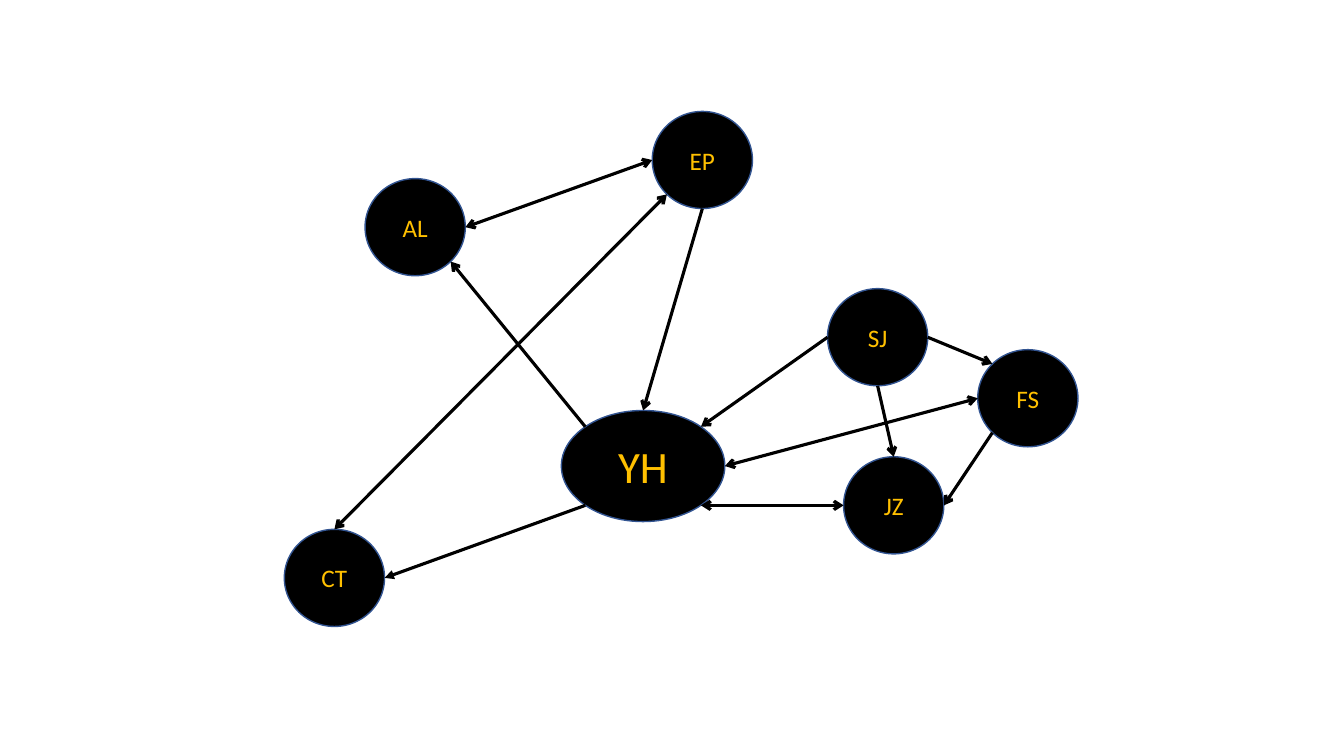
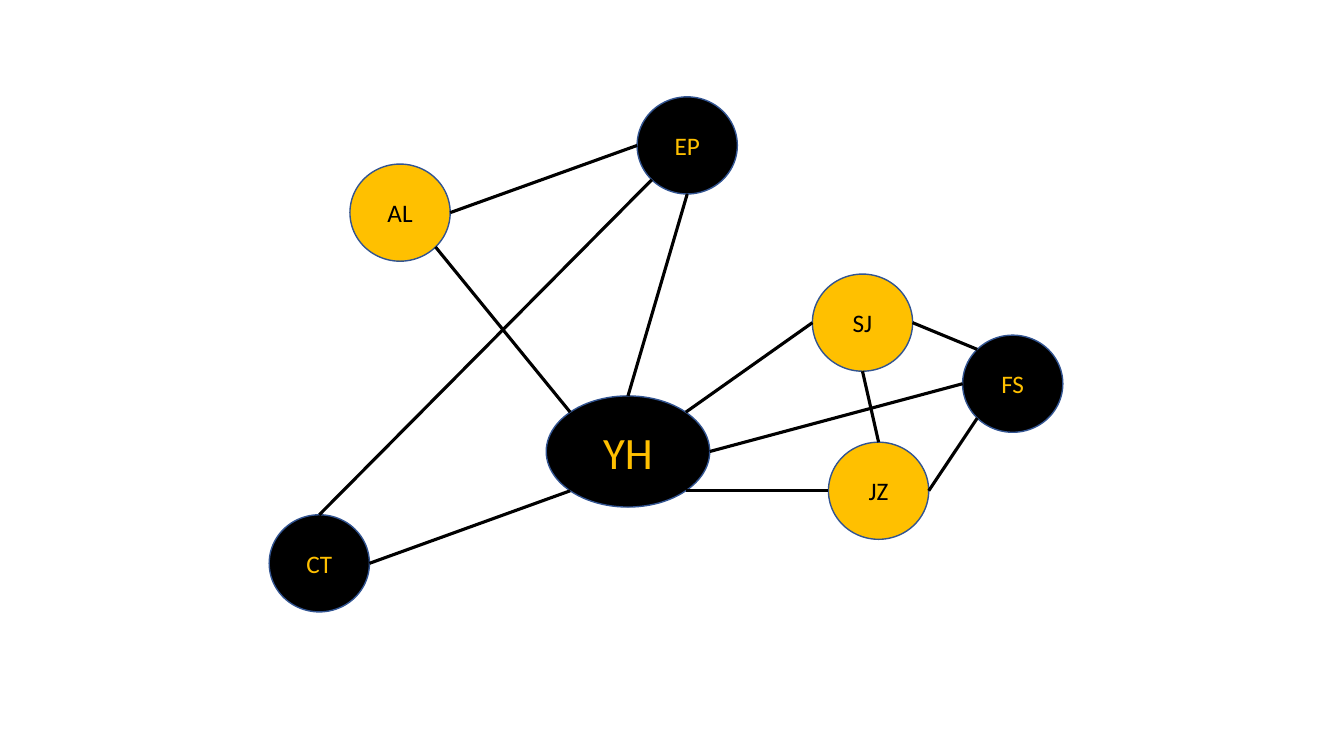
from collections.abc import Collection
from dataclasses import dataclass
from enum import Enum
from math import cos, radians, sin

from pptx import Presentation
from pptx.dml.color import RGBColor
from pptx.enum.shapes import MSO_CONNECTOR as Connector
from pptx.enum.shapes import MSO_SHAPE as Preset
from pptx.enum.text import MSO_ANCHOR as Anchor
from pptx.enum.text import PP_ALIGN as Align
from pptx.oxml.ns import qn
from pptx.oxml.xmlchemy import OxmlElement
from pptx.slide import Slide
from pptx.util import Pt

BLACK = "000000"
GOLD = "FFC000"
OUTLINE = "325491"
FONT_NAME = "Calibri"


class Site(Enum):
    RIGHT = 0
    BOTTOM_RIGHT = 45
    BOTTOM = 90
    BOTTOM_LEFT = 135
    LEFT = 180
    TOP_LEFT = 225
    TOP = 270
    TOP_RIGHT = 315


@dataclass(frozen=True)
class Node:
    left: float
    top: float
    width: float = 71.6
    height: float = 69.4
    font_size: float = 18

    def point(self, site: Site) -> tuple[float, float]:
        angle = radians(site.value)
        return (
            self.left + self.width / 2 * (1 + cos(angle)),
            self.top + self.height / 2 * (1 + sin(angle)),
        )


@dataclass(frozen=True)
class Link:
    source: str
    source_site: Site
    target: str
    target_site: Site
    head: str = ""
    tail: str = "arrow"


@dataclass(frozen=True)
class Diagram:
    shift_x: float = 0
    shift_y: float = 0
    highlighted: Collection[str] = ()
    directed: bool = True


NODES = {
    "YH": Node(401, 293.2, 116.8, 79.4, 32),
    "AL": Node(260.8, 127.6),
    "EP": Node(465.9, 79.6),
    "CT": Node(203.1, 378.1),
    "SJ": Node(591.1, 206.2),
    "FS": Node(698.4, 249.8),
    "JZ": Node(602.6, 326.27),
}

LINKS = (
    Link("EP", Site.LEFT, "AL", Site.RIGHT, head="arrow"),
    Link("EP", Site.BOTTOM_LEFT, "CT", Site.TOP, head="arrow"),
    Link("SJ", Site.RIGHT, "FS", Site.TOP_LEFT),
    Link("YH", Site.RIGHT, "FS", Site.LEFT, head="arrow"),
    Link("FS", Site.BOTTOM_LEFT, "JZ", Site.RIGHT),
    Link("YH", Site.BOTTOM_RIGHT, "JZ", Site.LEFT, head="arrow"),
    Link("SJ", Site.BOTTOM, "JZ", Site.TOP),
    Link("YH", Site.TOP_LEFT, "AL", Site.BOTTOM_RIGHT),
    Link("SJ", Site.LEFT, "YH", Site.TOP_RIGHT),
    Link("YH", Site.BOTTOM_LEFT, "CT", Site.RIGHT, tail="triangle"),
    Link("EP", Site.BOTTOM, "YH", Site.TOP),
)

DIAGRAMS = (
    Diagram(),
    Diagram(-10.8, -10.4, {"AL", "SJ", "JZ"}, directed=False),
)


def color(value: str) -> RGBColor:
    return RGBColor.from_string(value)


def apply_format(target: object, values: dict[str, object]) -> None:
    for name, value in values.items():
        setattr(target, name, value)


def draw_node(slide: Slide, label: str, node: Node, diagram: Diagram) -> None:
    fill, ink = (GOLD, BLACK) if label in diagram.highlighted else (BLACK, GOLD)
    shape = slide.shapes.add_shape(
        Preset.OVAL,
        Pt(node.left + diagram.shift_x),
        Pt(node.top + diagram.shift_y),
        Pt(node.width),
        Pt(node.height),
    )
    shape.shadow.inherit = False
    shape.fill.solid()
    shape.fill.fore_color.rgb = color(fill)
    shape.line.color.rgb = color(OUTLINE)
    shape.line.width = Pt(1)
    frame = shape.text_frame
    apply_format(frame, {"text": label, "vertical_anchor": Anchor.MIDDLE, "word_wrap": True})
    paragraph = frame.paragraphs[0]
    paragraph.alignment = Align.CENTER
    font = paragraph.runs[0].font
    apply_format(font, {"name": FONT_NAME, "size": Pt(node.font_size)})
    font.color.rgb = color(ink)


def draw_link(slide: Slide, link: Link, diagram: Diagram) -> None:
    start_x, start_y = NODES[link.source].point(link.source_site)
    end_x, end_y = NODES[link.target].point(link.target_site)
    connector = slide.shapes.add_connector(
        Connector.STRAIGHT,
        Pt(start_x + diagram.shift_x),
        Pt(start_y + diagram.shift_y),
        Pt(end_x + diagram.shift_x),
        Pt(end_y + diagram.shift_y),
    )
    connector.line.color.rgb = color(BLACK)
    connector.line.width = Pt(2.25)
    properties = connector._element.spPr
    if diagram.directed:
        outline = properties.find(qn("a:ln"))
        for tag, kind in (("a:headEnd", link.head), ("a:tailEnd", link.tail)):
            if kind:
                arrowhead = OxmlElement(tag)
                arrowhead.set("type", kind)
                outline.append(arrowhead)
    properties.append(OxmlElement("a:effectLst"))


def main() -> None:
    presentation = Presentation()
    apply_format(presentation, {"slide_width": Pt(960), "slide_height": Pt(540)})
    blank_layout = presentation.slide_layouts[6]
    for diagram in DIAGRAMS:
        slide = presentation.slides.add_slide(blank_layout)
        for label, node in NODES.items():
            draw_node(slide, label, node, diagram)
        for link in LINKS:
            draw_link(slide, link, diagram)
    presentation.save("out.pptx")


if __name__ == "__main__":
    main()
